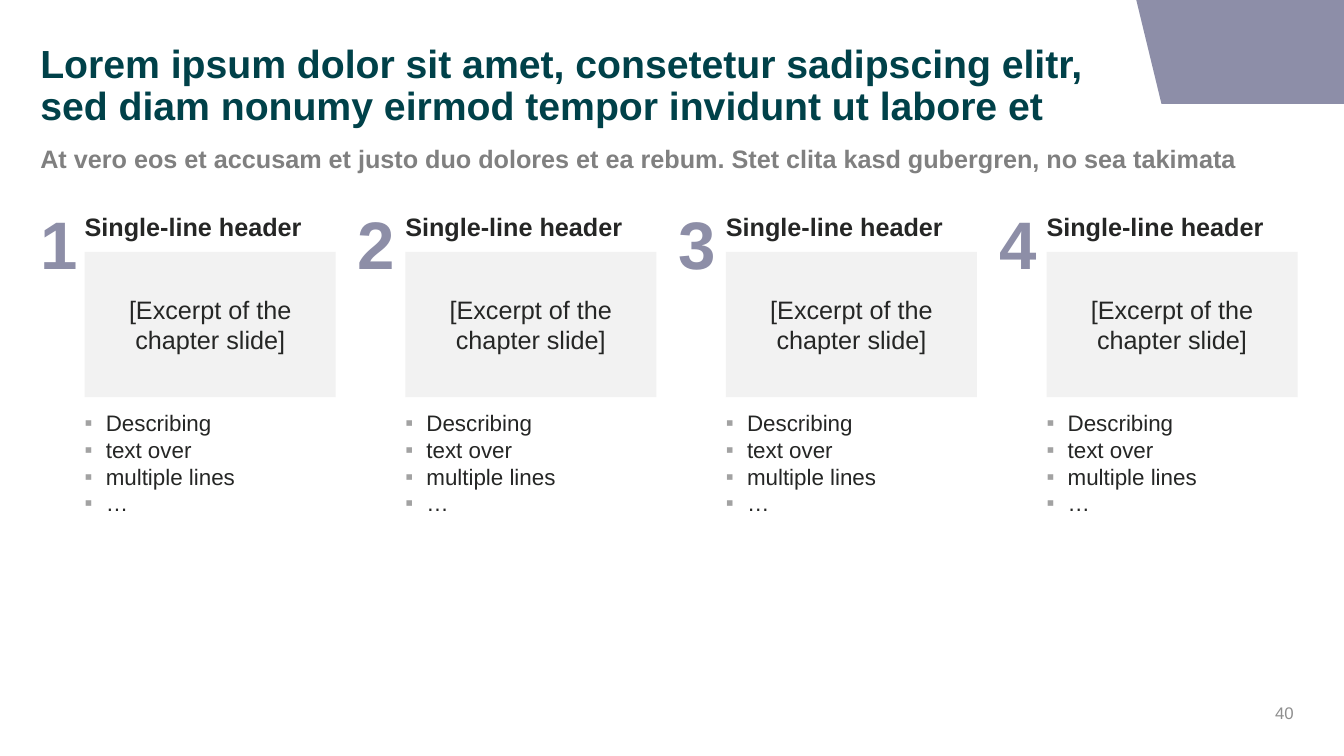
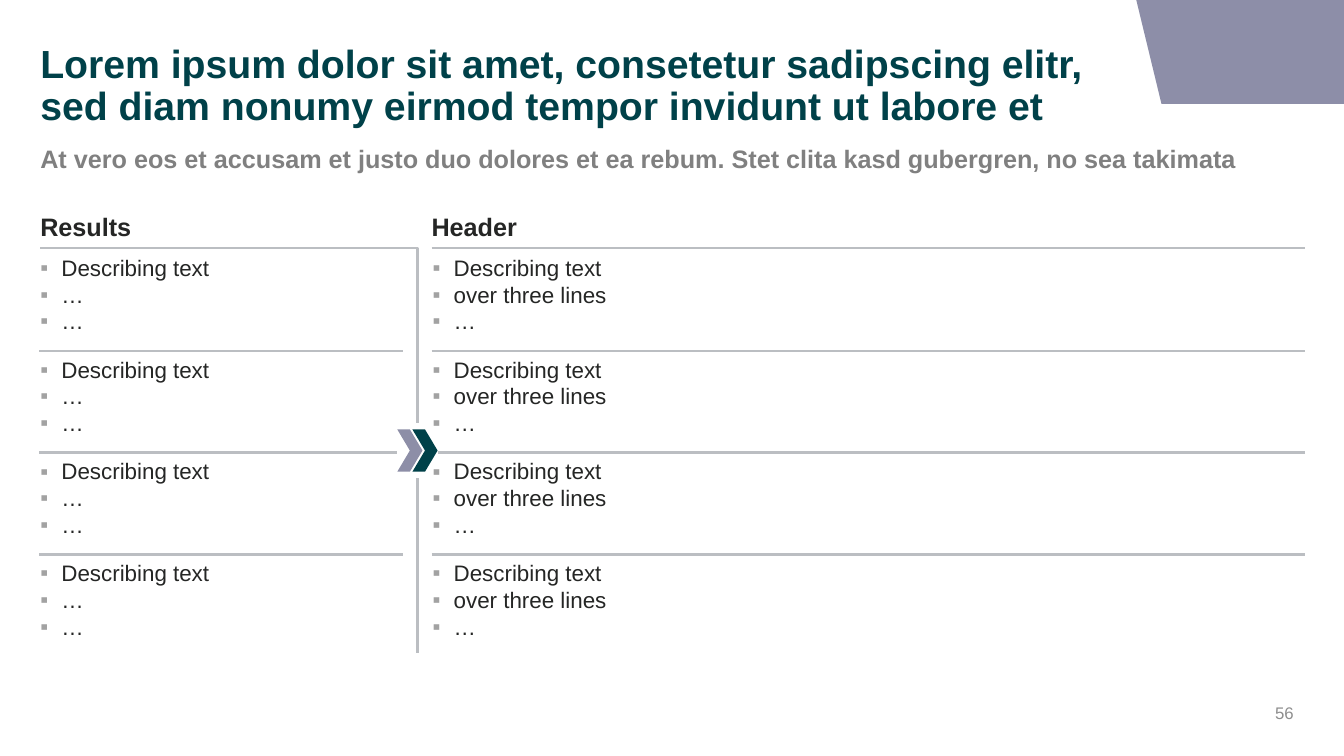
"""Build two slides: a four-column chapter overview and a results table with rules."""
from lxml import etree
from pptx import Presentation
from pptx.dml.color import RGBColor
from pptx.enum.shapes import MSO_CONNECTOR, MSO_SHAPE
from pptx.enum.text import MSO_ANCHOR as ANCHOR, PP_ALIGN as ALIGN
from pptx.oxml.ns import qn
from pptx.util import Pt

PX = 9144
WIDTH, HEIGHT = 1333, 750
FONT = "Arial"
TEAL = RGBColor(0x00, 0x41, 0x49)
LILAC = RGBColor(0x8D, 0x8E, 0xA7)
BAND = RGBColor(0x8D, 0x8E, 0xA8)
INK = RGBColor(0x25, 0x26, 0x25)
SUBTITLE_GREY = RGBColor(0x80, 0x80, 0x80)
PAGE_GREY = RGBColor(0x8E, 0x8E, 0x8E)
BULLET_GREY = RGBColor(0xA2, 0xA2, 0xA2)
RULE_GREY = RGBColor(0xBB, 0xBE, 0xC2)
BOX_GREY = RGBColor(0xF2, 0xF2, 0xF2)
WHITE = RGBColor(0xFF, 0xFF, 0xFF)

TITLE = ("Lorem ipsum dolor sit amet, consetetur sadipscing elitr, "
         "sed diam nonumy eirmod tempor invidunt ut labore et")
SUBTITLE = ("At vero eos et accusam et justo duo dolores et ea rebum. "
            "Stet clita kasd gubergren, no sea takimata")
BAND_POINTS = [(1333, 0), (1333, 103), (1152, 103), (1127, 0)]

CHAPTER_PAGE = "40"
CHAPTER_HEADER = "Single-line header"
CHAPTER_EXCERPT = "[Excerpt of the chapter slide]"
CHAPTER_BULLETS = ["Describing", "text over", "multiple lines", "…"]
NUMBER_LEFTS = [40, 355, 673, 991]
COLUMN_LEFT, COLUMN_PITCH = 84, 318

RESULTS_PAGE = "56"
RESULTS = [
    {"header": "Results", "left": 40, "width": 360, "rule": (39, 400),
     "bullets": ["Describing text", "…", "…"]},
    {"header": "Header", "left": 429, "width": 828, "rule": (428, 1294),
     "bullets": ["Describing text", "over three lines", "…"]},
]
FRAME_POINTS = [(40, 246), (414, 246), (414, 648)]
ROWS, ROW_TOP, ROW_PITCH, HEADER_RULE = 4, 255, 101, 246
CHEVRONS = [(409, TEAL), (394, LILAC)]


def emu(*lengths):
    return [n * PX for n in lengths]


def add_bullet(p):
    pPr = p._p.get_or_add_pPr()
    pPr.set("marL", str(21 * PX))
    pPr.set("indent", str(-21 * PX))
    color = etree.SubElement(pPr, qn("a:buClr"))
    etree.SubElement(color, qn("a:srgbClr"), val=str(BULLET_GREY))
    etree.SubElement(pPr, qn("a:buFont"), typeface=FONT)
    etree.SubElement(pPr, qn("a:buChar"), char="▪")


def write(sp, lines, size, color, bold=False, align=ALIGN.LEFT, spacing=None,
          anchor=ANCHOR.TOP, inset=True, bullets=False):
    tf = sp.text_frame
    tf.word_wrap = True
    tf.vertical_anchor = anchor
    if not inset:
        tf.margin_left = tf.margin_top = tf.margin_right = tf.margin_bottom = 0
    for i, line in enumerate(lines):
        p = tf.add_paragraph() if i else tf.paragraphs[0]
        p.text = line
        if bullets:
            add_bullet(p)
        p.alignment = align
        if spacing:
            p.line_spacing = spacing
        if i:
            p.space_before = Pt(1.8)
        for r in p.runs:
            r.font.name, r.font.size, r.font.bold = FONT, Pt(size), bold
            r.font.color.rgb = color


def add_text(shapes, box, lines, size, color, **style):
    sp = shapes.add_textbox(*emu(*box))
    write(sp, lines, size, color, **{"inset": False, **style})


def add_bullets(shapes, box, lines):
    add_text(shapes, box, lines, 16, INK, spacing=0.9, bullets=True)


def add_filled(shapes, kind, box, fill):
    sp = shapes.add_shape(kind, *emu(*box))
    sp.shadow.inherit = False
    sp.fill.solid()
    sp.fill.fore_color.rgb = fill
    sp.line.fill.background()
    return sp


def add_outline(shapes, points, close):
    builder = shapes.build_freeform(*points[0], scale=PX)
    builder.add_line_segments(points[1:], close=close)
    sp = builder.convert_to_shape()
    sp.shadow.inherit = False
    return sp


def set_rule(line):
    line.color.rgb = RULE_GREY
    line.width = Pt(1.75)


def add_rule(shapes, x1, x2, y):
    cx = shapes.add_connector(MSO_CONNECTOR.STRAIGHT, *emu(x1, y, x2, y))
    set_rule(cx.line)
    etree.SubElement(cx._element.spPr, qn("a:effectLst"))


def new_slide(prs, page):
    s = prs.slides.add_slide(prs.slide_layouts[6])
    band = add_outline(s.shapes, BAND_POINTS, close=True)
    band.fill.solid()
    band.fill.fore_color.rgb = BAND
    band.line.fill.background()
    add_text(s.shapes, (993, 695, 300, 24), [page], 12, PAGE_GREY,
             align=ALIGN.RIGHT, anchor=ANCHOR.MIDDLE, inset=True)
    add_text(s.shapes, (40, 44, 1087, 87), [TITLE], 28, TEAL, bold=True, spacing=0.9)
    add_text(s.shapes, (40, 142, 1254, 34), [SUBTITLE], 18, SUBTITLE_GREY, bold=True)
    return s


def build_chapters(prs):
    s = new_slide(prs, CHAPTER_PAGE)
    for i, number_left in enumerate(NUMBER_LEFTS):
        left = COLUMN_LEFT + i * COLUMN_PITCH
        shapes = s.shapes.add_group_shape().shapes
        add_bullets(shapes, (left, 409, 256, 105), CHAPTER_BULLETS)
        number = add_filled(shapes, MSO_SHAPE.RECTANGLE, (number_left, 210, 36, 73), WHITE)
        write(number, [str(i + 1)], 48, LILAC, bold=True, spacing=0.9, inset=False)
        add_text(shapes, (left, 210, 256, 30), [CHAPTER_HEADER], 18, INK, bold=True)
        excerpt = add_filled(shapes, MSO_SHAPE.RECTANGLE, (left, 250, 249, 144), BOX_GREY)
        write(excerpt, [CHAPTER_EXCERPT], 18, INK, align=ALIGN.CENTER, anchor=ANCHOR.MIDDLE)


def build_results(prs):
    s = new_slide(prs, RESULTS_PAGE)
    frame = add_outline(s.shapes, FRAME_POINTS, close=False)
    frame.fill.background()
    set_rule(frame.line)
    add_rule(s.shapes, *RESULTS[1]["rule"], HEADER_RULE)
    for column in RESULTS:
        for i in range(1, ROWS):
            add_rule(s.shapes, *column["rule"], HEADER_RULE + 1 + i * ROW_PITCH)

    arrow = s.shapes.add_group_shape().shapes
    backing = add_filled(arrow, MSO_SHAPE.RECTANGLE, (394, 420, 40, 54), WHITE)
    backing.line.color.rgb = WHITE
    backing.line.width = Pt(1)
    for left, color in CHEVRONS:
        add_filled(arrow, MSO_SHAPE.CHEVRON, (left, 426, 25, 42), color)

    for column in RESULTS:
        left, width = column["left"], column["width"]
        add_text(s.shapes, (left - left % 2, 213, width, 27), [column["header"]], 18, INK,
                 bold=True, spacing=0.9)
        for i in range(ROWS):
            add_bullets(s.shapes, (left, ROW_TOP + i * ROW_PITCH, width, 78), column["bullets"])


def main():
    prs = Presentation()
    prs.slide_width, prs.slide_height = emu(WIDTH, HEIGHT)
    build_chapters(prs)
    build_results(prs)
    prs.save("out.pptx")


if __name__ == "__main__":
    main()
